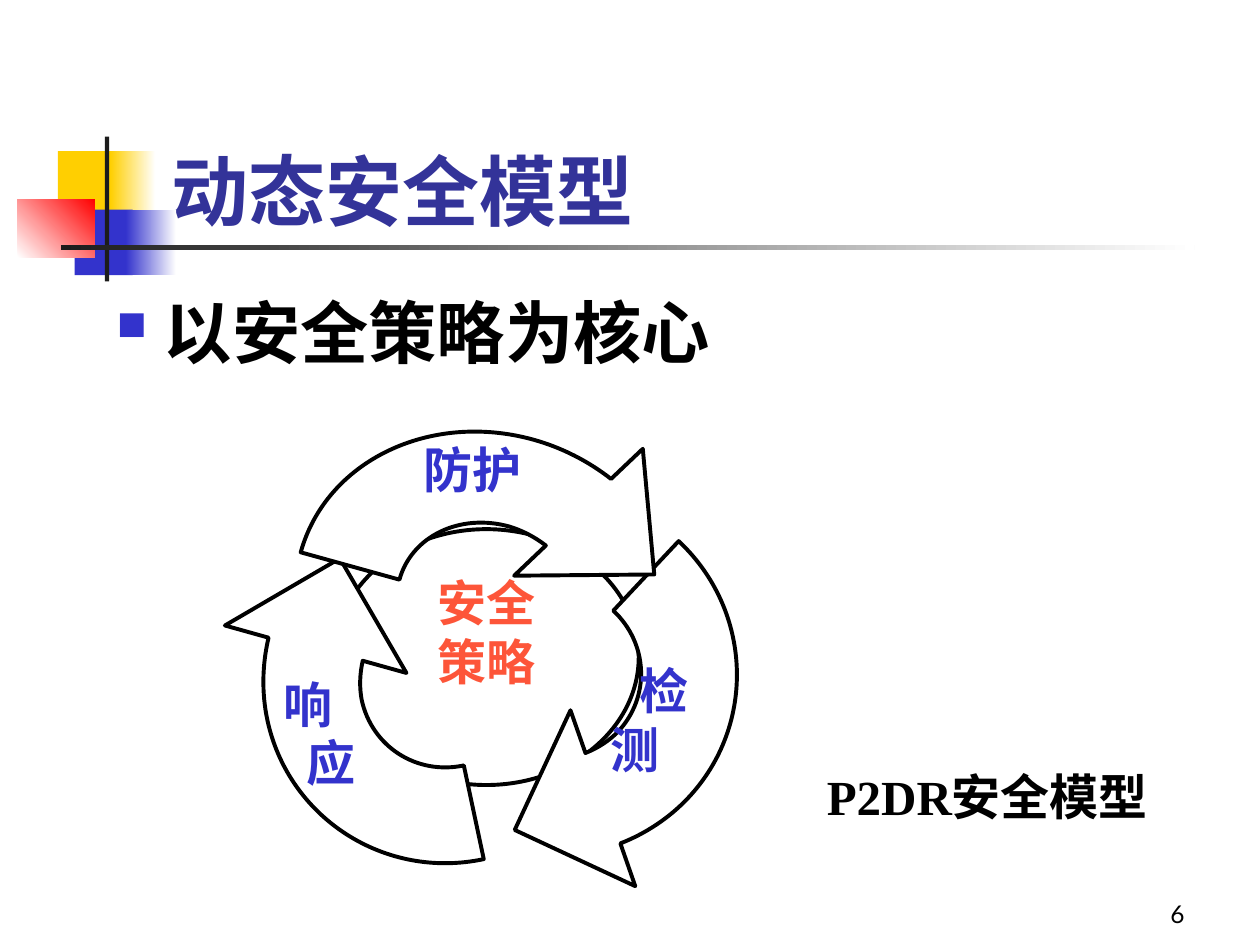
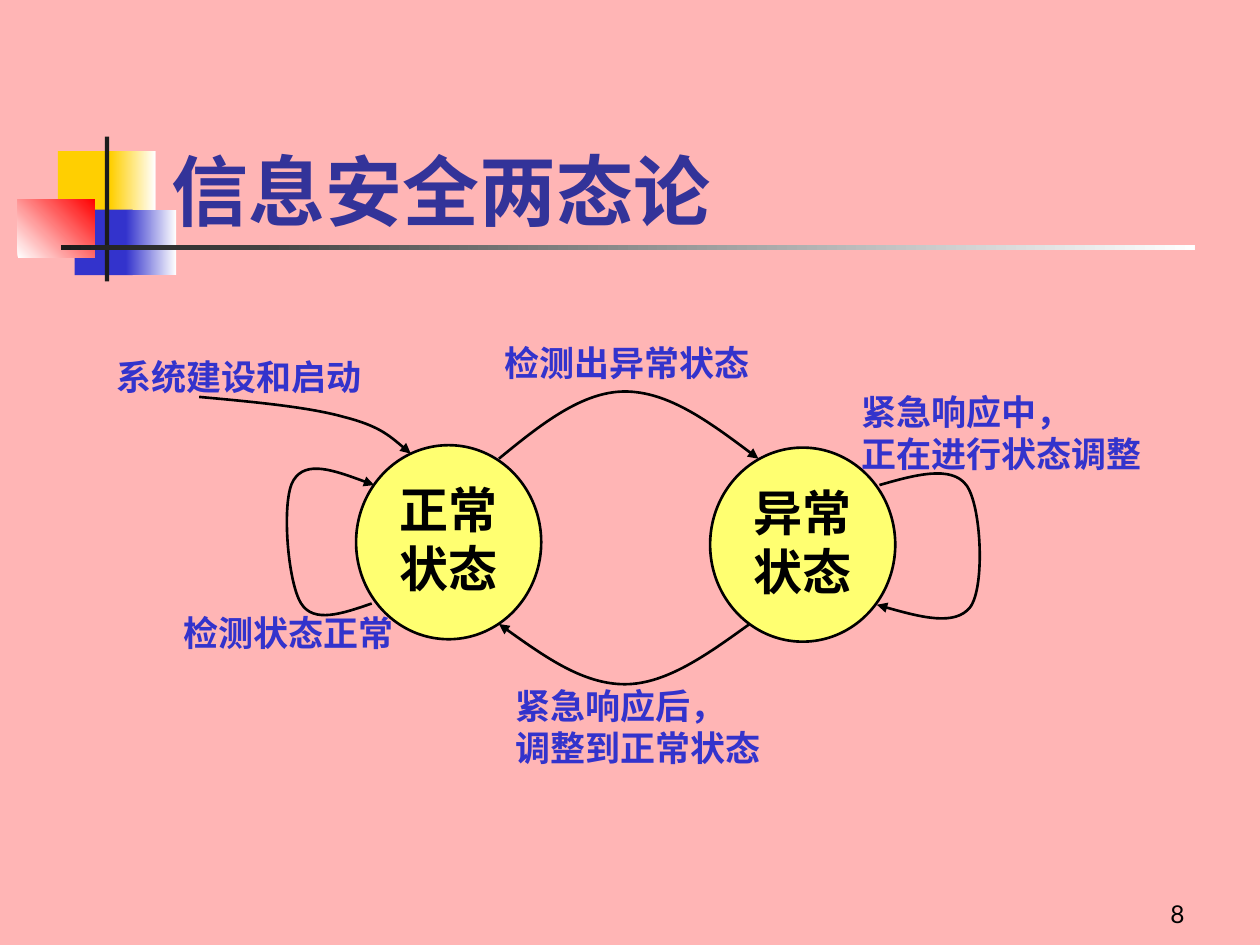
from lxml.etree import SubElement
from pptx import Presentation
from pptx.dml.color import RGBColor
from pptx.enum.shapes import MSO_SHAPE
from pptx.enum.text import MSO_ANCHOR, MSO_AUTO_SIZE, PP_ALIGN
from pptx.oxml.ns import qn
from pptx.util import Pt

WHITE = RGBColor(255, 255, 255)
BLACK = RGBColor(0, 0, 0)
INK = RGBColor(0x1C, 0x1C, 0x1C)
GOLD = RGBColor(0xFF, 0xCF, 0x01)
BLUE = RGBColor(0x33, 0x33, 0xCC)
NAVY = RGBColor(0x33, 0x33, 0x99)
RED = RGBColor(255, 0, 0)
CORAL = RGBColor(0xFD, 0x55, 0x39)
LEMON = RGBColor(0xFF, 0xFF, 0x71)
PINK = RGBColor(0xFF, 0xB5, 0xB5)
HEAD, BODY, SERIF = "Lato", "Montserrat", "Times New Roman"

SWEEP = [(60.4, 28.9), (56.9, 27.3), (53.4, 26.5), (50, 26.4),
         (36.8, 26.4), (26.4, 36.8), (26.4, 50), (0, 50),
         (0, 22.3), (22.3, 0), (50, 0), (57.6, 0), (65.2, 1.8), (72, 5),
         (77.8, -6), (89.3, 28.6), (54.6, 39.9)]
TURNS = [
    ((85.8, 34.1, 206.6, 208.8), 133.2),
    ((23.2, 39.1, 207.4, 208.8), 258),
    ((39.8, 1.7, 221.8, 195.1), 15.5),
]
ROLES = [
    ("防护", (106.7, 1.7, 111, 44), (0,)),
    ("检\n测", (207.5, 127.7, 87, 123), (23, 6.5)),
    ("响\n应", (26.8, 135.6, 111, 85), (0, 13)),
]
STATES = [("正常\n状态", (143.5, 64.4)), ("异常\n状态", (345.8, 65.8))]
MOVES = [
    ("检测出异常状态", (221.2, 1.5, 176.4, 37.4),
     [(225.1, 72.1), (248.9, 52.6), (272.6, 33.7), (297.1, 33.7),
      (321.6, 33.7), (347.5, 52.6), (373.4, 72.1)]),
    ("紧急响应后，\n调整到正常状态", (227.3, 197.4, 165.6, 58.3),
     [(368.4, 166.6), (344.6, 183.7), (320.9, 201), (297.1, 201),
      (273.4, 201), (248.9, 183.7), (225.1, 166.6)]),
    ("紧急响应中，\n正在进行状态调整", (425.3, 29.6, 198.7, 58.3),
     [(442.6, 87.2), (462.7, 81.4), (483.6, 75.7), (492.2, 87.2),
      (500.9, 98.7), (503, 145.5), (494.4, 157), (485.8, 167.8),
      (463.4, 162.1), (441.1, 155.6)]),
    ("检测状态正常", (37.9, 155.6, 144.7, 37.4),
     [(152.4, 154.9), (135.8, 160.6), (119.3, 166.4), (112.1, 154.9),
      (104.2, 142.6), (100.6, 95.1), (107.8, 84.3), (115, 72.8),
      (134.4, 80), (153.8, 87.2)]),
    ("系统建设和启动", (-0.4, 9.4, 208.8, 37.4),
     [(53.8, 36.8), (85.4, 39.7), (116.4, 42.6), (136.6, 48.3),
      (156.7, 53.4), (165.4, 61.3), (174.7, 69.2)]),
]


def write(frame, text, size=28, color=BLACK, font=SERIF, bold=True,
          align=PP_ALIGN.LEFT, anchor=MSO_ANCHOR.TOP, dents=(), bullet=None):
    """Fill a text frame, one paragraph for each line of text."""
    frame.word_wrap = True
    frame.auto_size = MSO_AUTO_SIZE.NONE
    frame.vertical_anchor = anchor
    for i, line in enumerate(text.split("\n")):
        para = frame.paragraphs[0] if i == 0 else frame.add_paragraph()
        props = para._p.get_or_add_pPr()
        if dents:
            props.set("marL", str(Pt(dents[i])))
        if bullet:
            props.set("indent", str(-Pt(dents[i])))
            tint = SubElement(props, qn("a:buClr"))
            SubElement(tint, qn("a:srgbClr"), val=str(BLUE))
            SubElement(props, qn("a:buSzPct"), val="60000")
            SubElement(props, qn("a:buFont"), typeface="Wingdings", charset="2")
            SubElement(props, qn("a:buChar"), char=bullet)
        para.alignment = align
        run = para.add_run()
        run.text = line
        run.font.size = Pt(size)
        run.font.name = font
        run.font.bold = bold
        run.font.color.rgb = color


def label(slide, box, text, **style):
    """Add a text box."""
    frame = slide.shapes.add_textbox(*map(Pt, box)).text_frame
    write(frame, text, **style)


def shift(box, x, y):
    """Move a box by an offset."""
    return (box[0] + x, box[1] + y, *box[2:])


def paint(shape, fill=None, line=None, width=1.5):
    """Set plain fill and line, without shadow."""
    shape.shadow.inherit = False
    if fill is None:
        shape.fill.background()
    else:
        shape.fill.solid()
        shape.fill.fore_color.rgb = fill
    if line is None:
        shape.line.fill.background()
    else:
        shape.line.color.rgb = line
        shape.line.width = Pt(width)


def fade(shape, first, last, angle=0):
    """Fill a shape with a gradient of two colours."""
    shape.fill.gradient()
    shape.fill.gradient_angle = angle
    for stop, color, place in zip(shape.fill.gradient_stops, (first, last), (0, 1)):
        stop.color.rgb = color
        stop.position = place


def oval(slide, box, text, fill, color=BLACK, width=1.5):
    """Add an outlined ellipse with text."""
    shape = slide.shapes.add_shape(MSO_SHAPE.OVAL, *map(Pt, box))
    paint(shape, fill, BLACK, width)
    write(shape.text_frame, text, color=color, align=PP_ALIGN.CENTER)


def trace(slide, box, points, kinds):
    """Draw curves (C), lines (L) and an end (Z) from points inside a box."""
    left, top, width, height = box
    pen = slide.shapes.build_freeform(Pt(left), Pt(top))
    pen.add_line_segments([(Pt(left + width), Pt(top + height))], close=False)
    shape = pen.convert_to_shape()
    track = shape._element.find(".//" + qn("a:path"))
    for step in list(track):
        track.remove(step)
    tags = {"M": ("a:moveTo", 1), "L": ("a:lnTo", 1),
            "C": ("a:cubicBezTo", 3), "Z": ("a:close", 0)}
    rest = iter(points)
    for kind in "M" + kinds:
        tag, count = tags[kind]
        step = SubElement(track, qn(tag))
        for _ in range(count):
            x, y = next(rest)
            SubElement(step, qn("a:pt"), x=str(int(Pt(x))), y=str(int(Pt(y))))
    return shape


def begin(deck, title, page, back):
    """Start a slide with background, emblem, title and page number."""
    slide = deck.slides.add_slide(deck.slide_layouts[5])
    slide.background.fill.solid()
    slide.background.fill.fore_color.rgb = back
    emblem(slide, 10, 78)
    head = slide.shapes.title
    head.left, head.top, head.width, head.height = map(Pt, (90.7, 48.2, 613.4, 90))
    write(head.text_frame, title, size=44, color=NAVY, font=HEAD,
          anchor=MSO_ANCHOR.BOTTOM)
    label(slide, (534.2, 498.2, 149.8, 36), page, size=14, font=HEAD, bold=False,
          align=PP_ALIGN.RIGHT, anchor=MSO_ANCHOR.BOTTOM)
    return slide


def emblem(slide, x, y):
    """Draw the coloured blocks and the rules beside the title."""
    parts = [
        ((23.1, 8.4, 34.6, 37.4), GOLD, None, 0),
        ((53.1, 8.4, 25.8, 37.4), GOLD, WHITE, 0),
        ((32.7, 41.8, 33.1, 37.4), BLUE, None, 0),
        ((62, 41.8, 28.6, 37.4), BLUE, WHITE, 0),
        ((0, 35.8, 44.3, 33.4), WHITE, RED, 45),
        ((49.9, 0, 2.5, 82.8), INK, None, 0),
        ((24.7, 62.1, 648, 2.7), INK, WHITE, 0),
    ]
    for box, first, last, angle in parts:
        block = slide.shapes.add_shape(MSO_SHAPE.RECTANGLE, *map(Pt, shift(box, x, y)))
        paint(block, first)
        if last is not None:
            fade(block, first, last, angle)


def ring(slide, x, y):
    """Draw the policy core with one arrow turned three ways around it."""
    oval(slide, shift((62.8, 56.4, 174.2, 146.2), x, y), "安全\n策略", WHITE,
         CORAL, 2.25)
    for box, turn in TURNS:
        points = [(px * box[2] / 100, py * box[3] / 100) for px, py in SWEEP]
        arrow = trace(slide, shift(box, x, y), points, "CCLCCLLLZ")
        arrow.rotation = turn
        paint(arrow, WHITE, BLACK, 2.25)
    for text, box, dents in ROLES:
        label(slide, shift(box, x, y), text, color=BLUE, dents=dents)


def states(slide, x, y):
    """Draw both states and the moves between them."""
    for text, spot in STATES:
        oval(slide, shift((*spot, 105.8, 110.9), x, y), text, LEMON)
    for text, box, points in MOVES:
        across, down = zip(*points)
        left, top = min(across), min(down)
        bounds = (left, top, max(across) - left, max(down) - top)
        inner = [shift(point, -left, -top) for point in points]
        arrow = trace(slide, shift(bounds, x, y), inner, "C" * (len(points) // 3))
        paint(arrow, None, BLACK)
        SubElement(arrow.line._get_or_add_ln(), qn("a:tailEnd"), type="triangle")
        label(slide, shift(box, x, y), text, size=20, color=BLUE)


def main():
    """Build both slides and save them."""
    deck = Presentation()
    deck.slide_width, deck.slide_height = Pt(720), Pt(540)
    model = begin(deck, "动态安全模型", "6", WHITE)
    label(model, (59.6, 162.4, 623.5, 340.6), "以安全策略为核心", size=39, font=BODY,
          dents=(27,), bullet="n")
    ring(model, 128, 246)
    label(model, (456.5, 434.2, 215.3, 41), "P2DR安全模型", align=PP_ALIGN.CENTER)
    theory = begin(deck, "信息安全两态论", "8", PINK)
    states(theory, 60, 190)
    deck.save("out.pptx")


if __name__ == "__main__":
    main()
